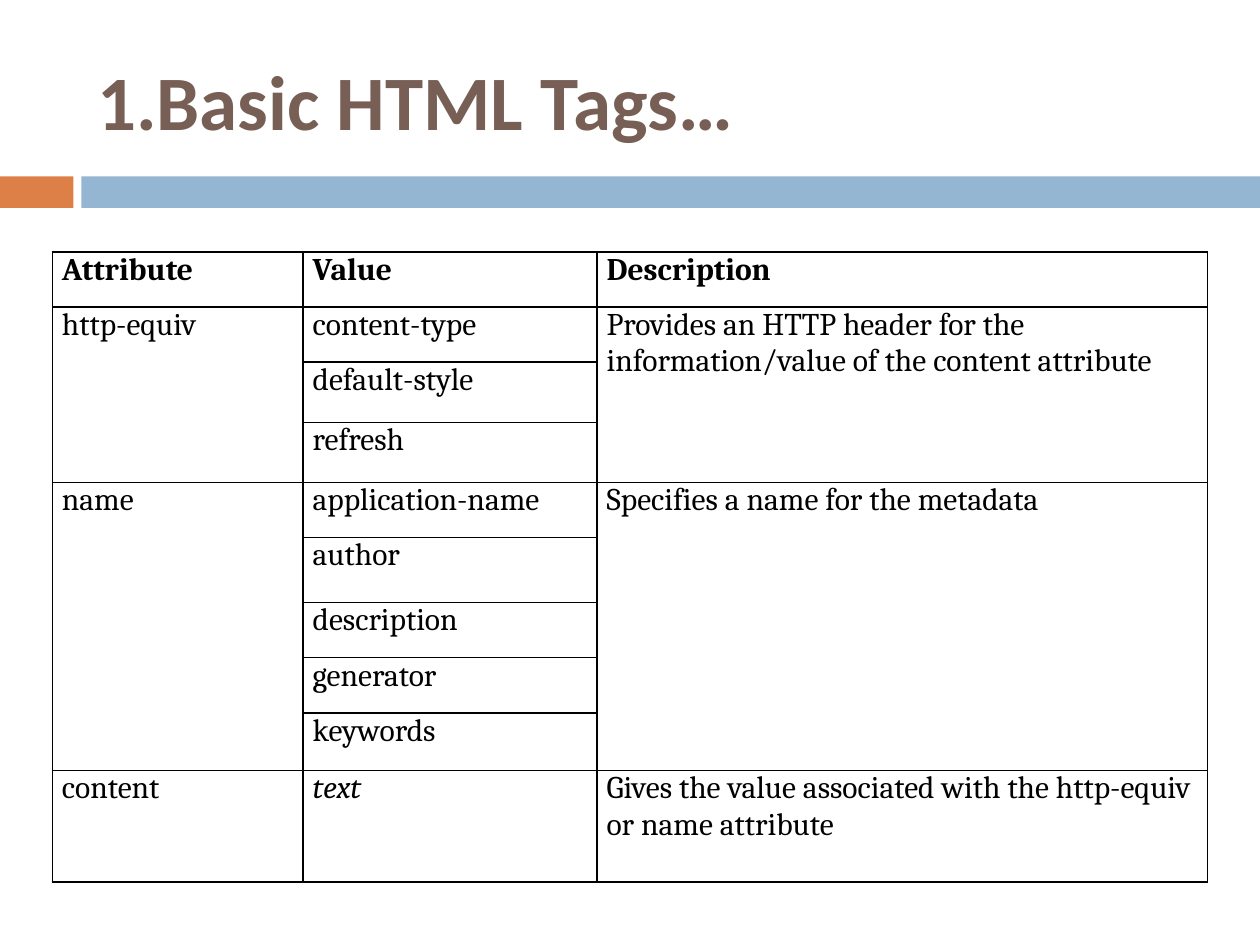
import pptx
import pptx.dml.color
import pptx.enum.shapes
import pptx.enum.text
import pptx.oxml
import pptx.oxml.ns
import pptx.util

Pt = pptx.util.Pt

TITLE = "1.Basic HTML Tags…"
HEADINGS = ("Attribute", "Value", "Description")
ATTRIBUTES = [
    ("http-equiv", ["content-type", "default-style", "refresh"],
     "Provides an HTTP header for the information/value of the content attribute"),
    ("name", ["application-name", "author", "description", "generator", "keywords"],
     "Specifies a name for the metadata"),
    ("content", ["text"],
     "Gives the value associated with the http-equiv or name attribute"),
]
BANDS = [(0, 42, "DD8047"), (46.5, 673.5, "94B6D2")]
COLUMN_WIDTHS = [143.3, 168, 348.7]
ROW_HEIGHTS = [31.5, 31.5, 34.3, 34.3, 31.6, 37.2, 31.5, 31.5, 33, 63.6]


def color(value):
    return pptx.dml.color.RGBColor.from_string(value)


def style(paragraph, name, size, shade, bold=False, italic=False):
    font = paragraph.font
    font.name, font.size = name, Pt(size)
    font.bold, font.italic = bold, italic
    font.color.rgb = color(shade)


def add_borders(cell):
    properties = cell._tc.get_or_add_tcPr()
    for index, side in enumerate(("lnL", "lnR", "lnT", "lnB")):
        properties.insert(index, pptx.oxml.parse_xml(
            f'<a:{side} {pptx.oxml.ns.nsdecls("a")} w="{Pt(1)}">'
            '<a:solidFill><a:srgbClr val="000000"/></a:solidFill>'
            f'</a:{side}>'))


def write(cell, text, bold=False, italic=False):
    cell.text = text
    style(cell.text_frame.paragraphs[0], "Cambria", 18, "000000", bold, italic)


deck = pptx.Presentation()
deck.slide_width, deck.slide_height = Pt(720), Pt(540)
slide = deck.slides.add_slide(deck.slide_layouts[6])

for left, width, shade in BANDS:
    band = slide.shapes.add_shape(
        pptx.enum.shapes.MSO_SHAPE.RECTANGLE, Pt(left), Pt(100.8), Pt(width), Pt(18))
    band.shadow.inherit = False
    band.fill.solid()
    band.fill.fore_color.rgb = color(shade)
    band.line.fill.background()

title = slide.shapes.add_textbox(Pt(48.5), Pt(18), Pt(642), Pt(78)).text_frame
title.word_wrap = True
title.vertical_anchor = pptx.enum.text.MSO_ANCHOR.MIDDLE
title.text = TITLE
style(title.paragraphs[0], "Calibri", 44, "775F55", bold=True)

table = slide.shapes.add_table(
    len(ROW_HEIGHTS), len(COLUMN_WIDTHS), Pt(30), Pt(144),
    Pt(sum(COLUMN_WIDTHS)), Pt(sum(ROW_HEIGHTS))).table
table.horz_banding = False
for column, width in zip(table.columns, COLUMN_WIDTHS):
    column.width = Pt(width)
for row, height in zip(table.rows, ROW_HEIGHTS):
    row.height = Pt(height)
for cell in table.iter_cells():
    cell.margin_left = cell.margin_right = Pt(5.4)
    cell.margin_top = cell.margin_bottom = 0
    cell.fill.background()
    add_borders(cell)
    style(cell.text_frame.paragraphs[0], "Cambria", 18, "000000")

for column, heading in enumerate(HEADINGS):
    write(table.cell(0, column), heading, bold=True)

top = 1
for attribute, values, description in ATTRIBUTES:
    bottom = top + len(values) - 1
    for column, text in ((0, attribute), (2, description)):
        if bottom > top:
            table.cell(top, column).merge(table.cell(bottom, column))
        write(table.cell(top, column), text)
    for offset, value in enumerate(values):
        write(table.cell(top + offset, 1), value, italic=value == "text")
    top = bottom + 1

deck.save("out.pptx")
